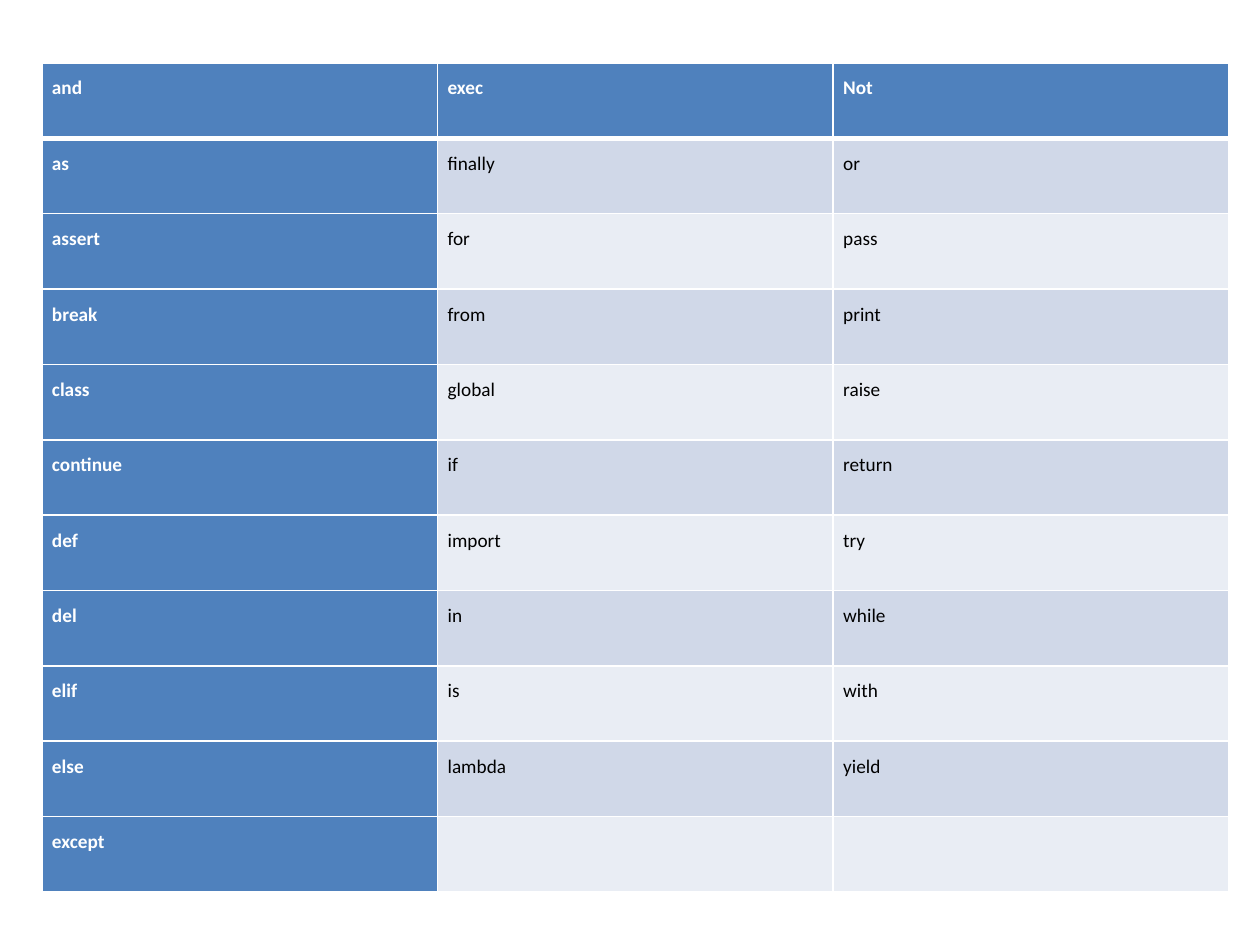
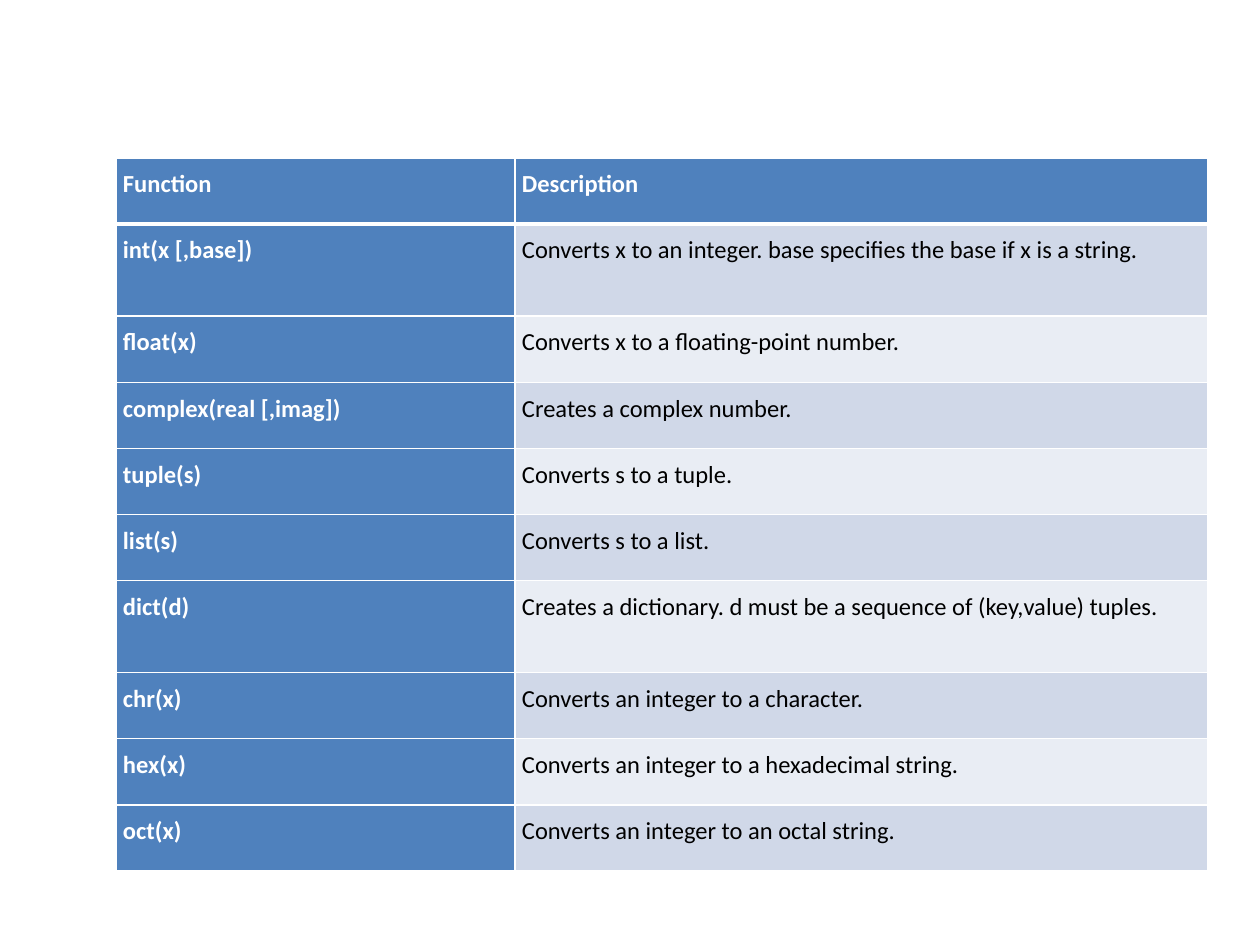
from itertools import zip_longest
from lxml.etree import SubElement
from pptx import Presentation
from pptx.dml.color import RGBColor
from pptx.oxml.ns import qn
from pptx.util import Pt

PX = 914400 // 126
COLORS = {
    "accent": "4F81BD",
    "band_dark": "D0D8E8",
    "band_light": "E9EDF4",
    "white": "FFFFFF",
    "black": "000000",
}
FONT = "Calibri"
THIN, THICK = 1, 3

KEYWORD_COLUMNS = [
    "and as assert break class continue def del elif else except".split(),
    "exec finally for from global if import in is lambda".split(),
    "Not or pass print raise return try while with yield".split(),
]
CONVERSIONS = [
    ("Function", "Description"),
    ("int(x [,base])",
     "Converts x to an integer. base specifies the base if x is a string."),
    ("float(x)", "Converts x to a floating-point number."),
    ("complex(real [,imag])", "Creates a complex number."),
    ("tuple(s)", "Converts s to a tuple."),
    ("list(s)", "Converts s to a list."),
    ("dict(d)",
     "Creates a dictionary. d must be a sequence of (key,value) tuples."),
    ("chr(x)", "Converts an integer to a character."),
    ("hex(x)", "Converts an integer to a hexadecimal string."),
    ("oct(x)", "Converts an integer to an octal string."),
]


def color(name):
    return RGBColor.from_string(COLORS[name])


def set_borders(cell, row):
    """White rules, with a thick one under the header row."""
    widths = {
        "L": THIN,
        "R": THIN,
        "T": THICK if row == 1 else THIN,
        "B": THICK if row == 0 else THIN,
    }
    properties = cell._tc.get_or_add_tcPr()
    for side, width in widths.items():
        line = SubElement(properties, qn(f"a:ln{side}"), w=str(Pt(width)))
        fill = SubElement(line, qn("a:solidFill"))
        SubElement(fill, qn("a:srgbClr"), val=COLORS["white"])


def fill_cell(cell, text, row, column, size, margin):
    """Header row and first column are accented, the rest is banded."""
    accented = row == 0 or column == 0
    band = "band_dark" if row % 2 else "band_light"
    set_borders(cell, row)
    cell.fill.solid()
    cell.fill.fore_color.rgb = color("accent" if accented else band)
    cell.margin_left = cell.margin_right = margin * PX
    cell.margin_top = cell.margin_bottom = margin * PX

    cell.text = text
    para = cell.text_frame.paragraphs[0]
    para.line_spacing = 1.15
    para.space_after = Pt(10)
    para.font.name = FONT
    para.font.size = Pt(size)
    para.font.bold = accented
    para.font.color.rgb = color("white" if accented else "black")


def add_grid(page, box, rows, widths, heights, size, margin):
    """Share the box among columns and rows in the given proportions."""
    left, top, width, height = (length * PX for length in box)
    frame = page.shapes.add_table(
        len(rows), len(widths), left, top, width, height)
    table = frame.table
    table.first_col = True
    for column, share in zip(table.columns, widths):
        column.width = width * share // sum(widths)
    for row, share in zip(table.rows, heights):
        row.height = height * share // sum(heights)
    for row, texts in enumerate(rows):
        for column, text in enumerate(texts):
            fill_cell(table.cell(row, column), text, row, column, size, margin)


def add_keywords_page(page, box):
    rows = list(zip_longest(*KEYWORD_COLUMNS, fillvalue=""))
    add_grid(page, box, rows, widths=[1] * len(KEYWORD_COLUMNS),
             heights=[1] * len(rows), size=11, margin=10)


def add_conversions_page(page, box):
    # Rows with a long description are taller
    heights = [92 if len(text) > 60 else 66 for _, text in CONVERSIONS]
    add_grid(page, box, CONVERSIONS, widths=[399, 693],
             heights=heights, size=14, margin=7)


def main():
    deck = Presentation()
    deck.slide_width, deck.slide_height = 1260 * PX, 945 * PX
    blank = deck.slide_layouts[6]
    add_keywords_page(deck.slides.add_slide(blank), (42, 63, 1187, 829))
    add_conversions_page(deck.slides.add_slide(blank), (116, 158, 1092, 713))
    deck.save("out.pptx")


if __name__ == "__main__":
    main()
